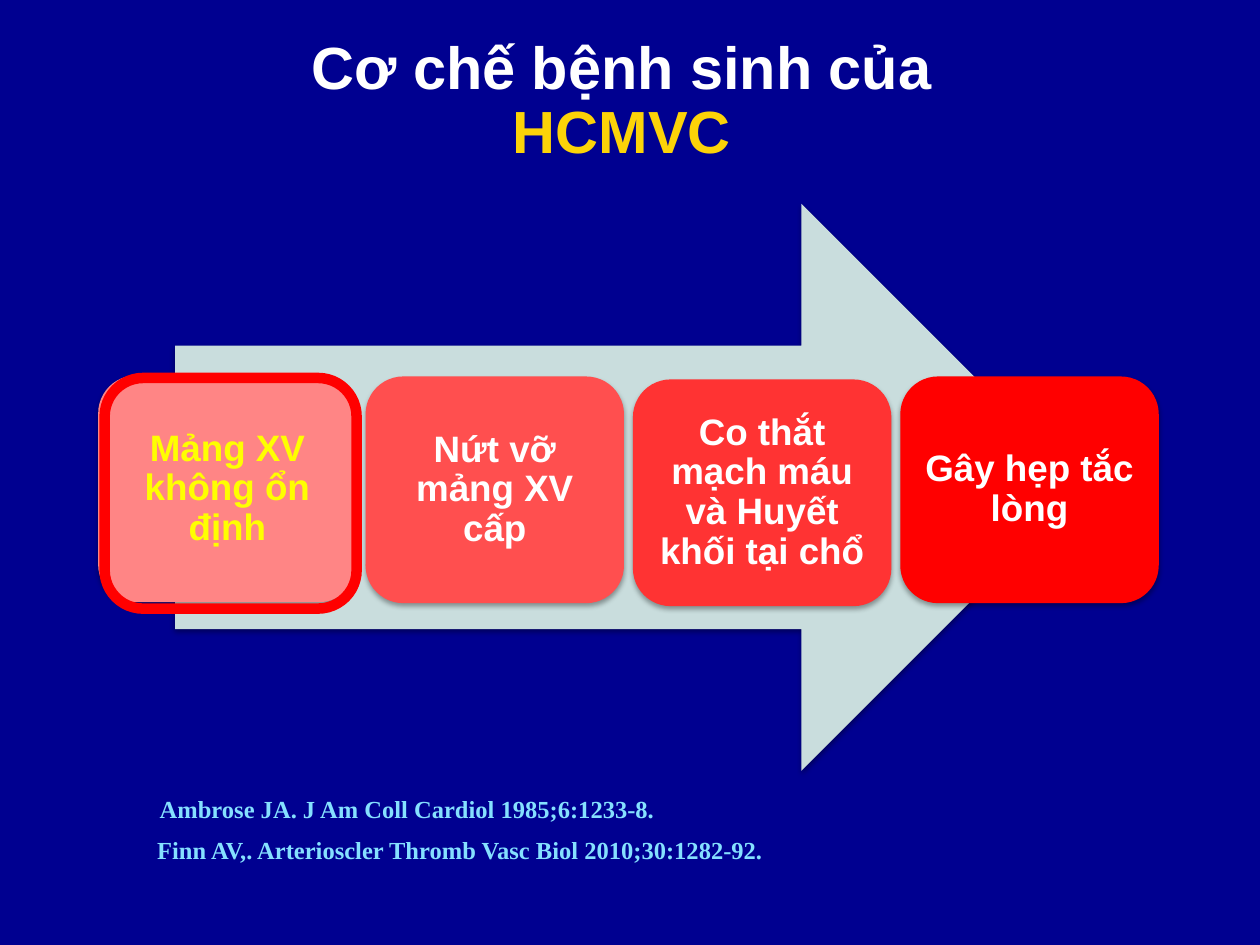
from lxml import etree
from pptx import Presentation
from pptx.dml.color import RGBColor
from pptx.enum.shapes import MSO_SHAPE
from pptx.enum.text import MSO_ANCHOR, PP_ALIGN
from pptx.oxml.ns import qn
from pptx.util import Cm, Pt

ARROW, ROUNDED = MSO_SHAPE.RIGHT_ARROW, MSO_SHAPE.ROUNDED_RECTANGLE
CENTER, LEFT = PP_ALIGN.CENTER, PP_ALIGN.LEFT
MIDDLE = MSO_ANCHOR.MIDDLE
COLORS = {
    "background": "000090", "white": "FFFFFF", "gold": "FCD308",
    "yellow": "FFFF00", "citation": "85E0FF", "arrow": "C9DDDD",
    "red": "FF0000", "red_strong": "FF3333", "red_medium": "FF4F4F",
    "red_light": "FF8585", "shadow": "000000",
}


def color(name):
    return RGBColor.from_string(COLORS[name])


def write(para, text, color_name, align, spacing, **font_format):
    para.alignment = align
    para.line_spacing = spacing
    span = para.add_run()
    span.text = text
    span.font.color.rgb = color(color_name)
    for name, value in font_format.items():
        setattr(span.font, name, value)


deck = Presentation()
deck.slide_width, deck.slide_height = Cm(25.4), Cm(19.05)
page = deck.slides.add_slide(deck.slide_layouts[6])
page.background.fill.solid()
page.background.fill.fore_color.rgb = color("background")

# Title
title_format = {"size": Pt(34), "name": "Arial", "bold": True}
box = page.shapes.add_textbox(Cm(0), Cm(0.64), Cm(25.4), Cm(3.6))
box.text_frame.word_wrap = True
write(box.text_frame.paragraphs[0], "Cơ chế bệnh sinh của ", "white", CENTER, 0.9, **title_format)
write(box.text_frame.add_paragraph(), "HCMVC ", "gold", CENTER, 0.9, **title_format)

# Arrow behind the steps
arrow = page.shapes.add_shape(ARROW, Cm(3.53), Cm(4.11), Cm(18.34), Cm(11.43))
shaded = [(arrow, "arrow")]

# Four steps at equal distances
steps = [
    ("Mảng XV không ổn định", "red_light", "yellow", 7.57),
    ("Nứt vỡ mảng XV cấp", "red_medium", "white", 7.59),
    ("Co thắt mạch máu và Huyết khối tại chổ", "red_strong", "white", 7.65),
    ("Gây hẹp tắc lòng", "red", "white", 7.59),
]
step_format = {"size": Pt(21), "name": "Arial", "bold": True}
for index, (text, fill_name, text_color, top) in enumerate(steps):
    step = page.shapes.add_shape(ROUNDED, Cm(1.98 + 5.39 * index), Cm(top), Cm(5.21), Cm(4.57))
    frame = step.text_frame
    frame.word_wrap = True
    frame.vertical_anchor = MIDDLE
    for side in ("left", "right", "top", "bottom"):
        setattr(frame, f"margin_{side}", Cm(0.46 if side in ("left", "right") else 0.4))
    # The rounded corners already inset the text, so the side margins stay small
    frame.margin_left = frame.margin_right = Cm(0.2)
    write(frame.paragraphs[0], text, text_color, CENTER, 0.9, **step_format)
    shaded.append((step, fill_name))

for shape, fill_name in shaded:
    shape.fill.solid()
    shape.fill.fore_color.rgb = color(fill_name)
    shape.line.fill.background()
    shape.shadow.inherit = False
    effects = shape._element.spPr.find(qn("a:effectLst"))
    shadow = etree.SubElement(effects, qn("a:outerShdw"), blurRad=str(Pt(3.1)),
                              dist=str(Pt(1.8)), dir="5400000", rotWithShape="0")
    shade = etree.SubElement(shadow, qn("a:srgbClr"), val=COLORS["shadow"])
    etree.SubElement(shade, qn("a:alpha"), val="35000")

# Citations
citations = [
    ("Ambrose JA. J Am Coll Cardiol 1985;6:1233-8.", 2.97, 15.88, 19.05),
    ("Finn AV,. Arterioscler Thromb Vasc Biol 2010;30:1282-92.", 2.92, 16.71, 15.06),
]
for text, left, top, width in citations:
    box = page.shapes.add_textbox(Cm(left), Cm(top), Cm(width), Cm(0.86))
    box.text_frame.word_wrap = True
    write(box.text_frame.paragraphs[0], text, "citation", LEFT, 1.0,
          size=Pt(14), name="Times New Roman", bold=True)

# Outline around the first step
highlight = page.shapes.add_shape(ROUNDED, Cm(2.11), Cm(7.62), Cm(5.08), Cm(4.65))
highlight.shadow.inherit = False
highlight.fill.background()
highlight.line.color.rgb = color("red")
highlight.line.width = Pt(6)

deck.save("out.pptx")
